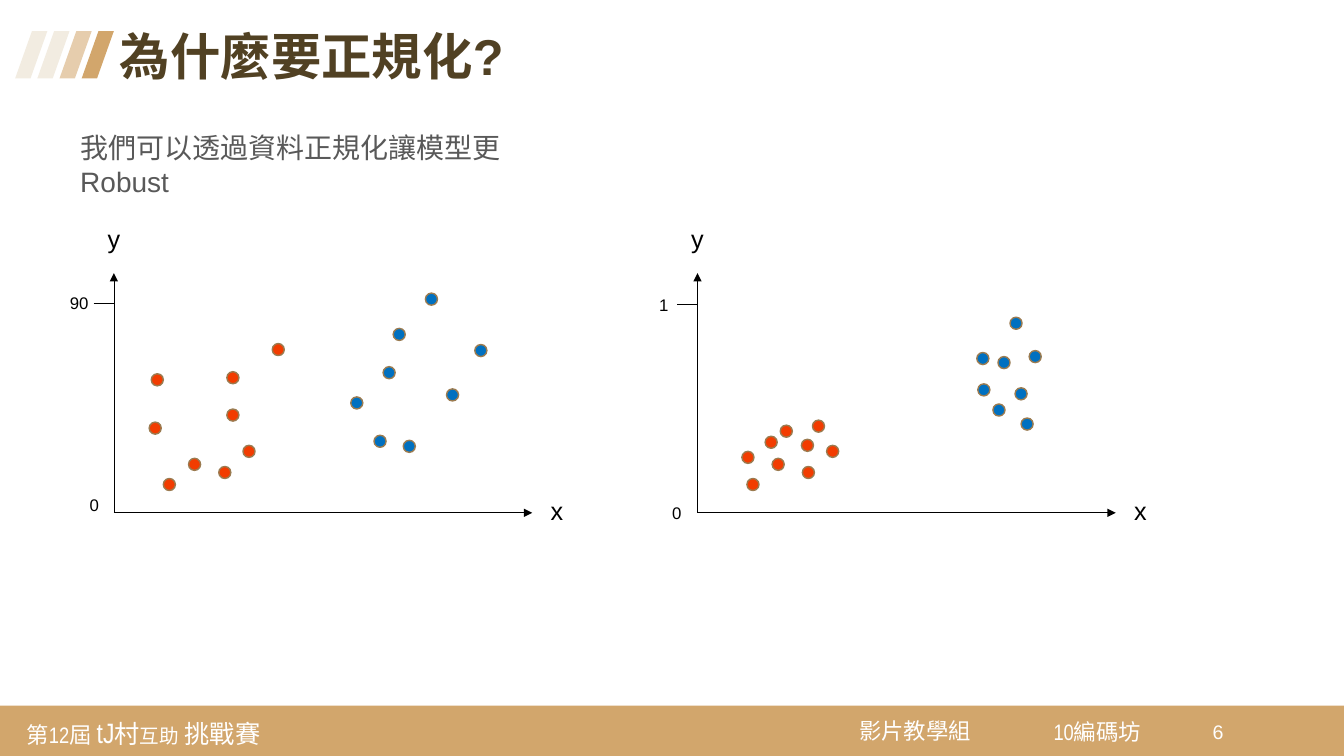
from dataclasses import dataclass

from lxml.etree import SubElement
from pptx import Presentation
from pptx.dml.color import RGBColor
from pptx.enum.shapes import MSO_CONNECTOR, MSO_SHAPE
from pptx.enum.text import MSO_ANCHOR, MSO_AUTO_SIZE, PP_ALIGN
from pptx.oxml.ns import qn
from pptx.util import Pt


@dataclass(frozen=True)
class Theme:
    gold: str = "D2A66C"
    light_gold: str = "E6CDAD"
    cream: str = "F2ECE1"
    brown: str = "514123"
    dot_edge: str = "9B7B50"
    grey: str = "595959"
    black: str = "000000"
    white: str = "FFFFFF"
    blue: str = "0070C0"
    red: str = "F23C00"
    font: str = "Arial"
    narrow_font: str = "Arial Narrow"
    title_size: int = 36
    body_size: int = 20
    axis_size: int = 18
    event_name_size: int = 20
    event_word_size: int = 18
    event_small_size: int = 14
    footer_size: int = 16
    page_size: int = 14
    tick_size: int = 12


THEME = Theme()
DOT_SIZE = 8.64

# Dots and tick labels are (right, up) distances in points from the origin.
RAW_PLOT = {
    "tick_height": 149.5,
    "tick_labels": [("90", -24.8, 150.2), ("0", -14, 5.4)],
    "blue": [(190.1, 51.1), (196.6, 100.1), (203.8, 127.4), (211, 47.5),
             (226.8, 152.6), (262.1, 115.9), (173.5, 78.5), (241.9, 84.2)],
    "red": [(29.5, 60.5), (31, 95), (39.6, 20.2), (85, 69.8), (96.5, 43.9),
            (117.4, 116.6), (79.2, 28.8), (57.6, 34.6), (85, 96.5)],
}
NORMALIZED_PLOT = {
    "tick_height": 148.8,
    "tick_labels": [("1", -24.1, 148.8), ("0", -14.8, 0)],
    "blue": [(231.1, 85), (215.3, 73.4), (203.8, 110.2), (204.5, 87.8),
             (227.5, 135.4), (241.2, 111.6), (218.9, 107.3), (235.4, 63.4)],
    "red": [(36, 39.6), (52.6, 50.4), (39.6, 20.2), (78.5, 48.2), (96.5, 43.9),
            (63.4, 58.3), (79.2, 28.8), (57.6, 34.6), (86.4, 61.9)],
}


def add_run(paragraph, text, size, color, font=THEME.font, bold=False):
    run = paragraph.add_run()
    run.text = text
    run.font.name = font
    run.font.size = Pt(size)
    run.font.bold = bold
    run.font.color.rgb = RGBColor.from_string(color)


def add_text(slide, box, runs, color, font=THEME.font, inset=None, wrap=True,
             anchor=MSO_ANCHOR.TOP, align=PP_ALIGN.LEFT):
    """Add a one-paragraph text box; runs are (text, size) pairs."""
    frame = slide.shapes.add_textbox(*map(Pt, box)).text_frame
    frame.word_wrap = wrap
    frame.vertical_anchor = anchor
    if inset is not None:
        frame.margin_left = frame.margin_right = Pt(inset)
        frame.margin_top = frame.margin_bottom = Pt(inset)
    paragraph = frame.paragraphs[0]
    paragraph.alignment = align
    for text, size in runs:
        add_run(paragraph, text, size, color, font)


def add_label(slide, center_x, center_y, text, size):
    width, height = 15 + 0.6 * size * len(text), size * 1.6
    box = (center_x - width / 2, center_y - height / 2, width, height)
    add_text(slide, box, [(text, size)], THEME.black, wrap=False,
             anchor=MSO_ANCHOR.MIDDLE, align=PP_ALIGN.CENTER)


def add_filled_shape(slide, kind, box, fill, edge=None):
    shape = slide.shapes.add_shape(kind, *map(Pt, box))
    shape.shadow.inherit = False
    shape.fill.solid()
    shape.fill.fore_color.rgb = RGBColor.from_string(fill)
    if edge:
        shape.line.color.rgb = RGBColor.from_string(edge)
        shape.line.width = Pt(1)
    else:
        shape.line.fill.background()
    return shape


def add_line(slide, start, end, width, arrow=False):
    line = slide.shapes.add_connector(
        MSO_CONNECTOR.STRAIGHT, *map(Pt, (*start, *end)))
    line.line.color.rgb = RGBColor.from_string(THEME.black)
    line.line.width = Pt(width)
    properties = line._element.spPr
    if arrow:
        SubElement(properties.find(qn("a:ln")), qn("a:tailEnd"), type="triangle")
    SubElement(properties, qn("a:effectLst"))


def add_header(slide, box, title):
    """Place the slanted stripes and the title in the given box."""
    left, top, width, height = box
    stripes = (THEME.cream, THEME.cream, THEME.light_gold, THEME.gold)
    for index, color in enumerate(stripes):
        stripe_box = (left + 15.84 * index, top + 2.9, 23, 33.8)
        stripe = add_filled_shape(slide, MSO_SHAPE.PARALLELOGRAM, stripe_box, color)
        stripe.adjustments[0] = 0.522

    shape = slide.shapes.title
    shape.left, shape.top = Pt(left + 67.7), Pt(top)
    shape.width, shape.height = Pt(width - 67.7), Pt(height)
    frame = shape.text_frame
    frame.auto_size = MSO_AUTO_SIZE.NONE
    frame.word_wrap = True
    frame.vertical_anchor = MSO_ANCHOR.TOP
    paragraph = frame.paragraphs[0]
    paragraph.alignment = PP_ALIGN.LEFT
    paragraph.line_spacing = 0.9
    add_run(paragraph, title, THEME.title_size, THEME.brown, bold=True)


def add_footer(slide, box, page):
    left, top, width, height = box
    add_filled_shape(slide, MSO_SHAPE.RECTANGLE, box, THEME.gold)
    event = [("第12屆 ", THEME.footer_size), ("tJ", THEME.event_name_size),
             ("村", THEME.event_word_size), ("互助", THEME.event_small_size),
             (" 挑戰賽", THEME.event_word_size)]
    entries = [
        (13, 1.4, 204, 35.3, event),
        (607.7, 2.2, 95.8, 31, [("影片教學組", THEME.footer_size)]),
        (746.6, 2.9, 95.8, 31, [("10編碼坊", THEME.footer_size)]),
    ]
    for x, y, entry_width, entry_height, runs in entries:
        add_text(slide, (left + x, top + y, entry_width, entry_height), runs,
                 THEME.white, THEME.narrow_font, inset=6, anchor=MSO_ANCHOR.MIDDLE)
    add_text(slide, (left + 859, top + 6.5, 30.2, 29.5),
             [(page, THEME.page_size)], THEME.white)


def add_scatter_plot(slide, box, plot):
    """Draw axes along the left and bottom of the box, then labels and dots."""
    left, top, width, height = box
    origin_y = top + height
    tick_y = origin_y - plot["tick_height"]
    add_line(slide, (left, origin_y), (left, top), 0.5, arrow=True)
    add_line(slide, (left, origin_y), (left + width, origin_y), 0.5, arrow=True)
    add_line(slide, (left - 14.4, tick_y), (left, tick_y), 1)
    add_label(slide, left + width + 17.6, origin_y - 1.8, "x", THEME.axis_size)
    add_label(slide, left, top - 25, "y", THEME.axis_size)
    for text, x, up in plot["tick_labels"]:
        add_label(slide, left + x, origin_y - up, text, THEME.tick_size)

    for group, color in (("blue", THEME.blue), ("red", THEME.red)):
        for x, up in plot[group]:
            dot_box = (left + x - DOT_SIZE / 2, origin_y - up - DOT_SIZE / 2,
                       DOT_SIZE, DOT_SIZE)
            add_filled_shape(slide, MSO_SHAPE.OVAL, dot_box, color, THEME.dot_edge)


def build_normalization_slide(presentation):
    slide = presentation.slides.add_slide(presentation.slide_layouts[5])
    add_footer(slide, (0, 504, 960, 36), "6")
    add_header(slide, (10.8, 19.4, 801.4, 46.8), "為什麼要正規化?")
    add_text(slide, (50.2, 90, 367, 31.7),
             [("我們可以透過資料正規化讓模型更 Robust", THEME.body_size)], THEME.grey)
    for left, plot in ((81.36, RAW_PLOT), (498.24, NORMALIZED_PLOT)):
        add_scatter_plot(slide, (left, 195.1, 298.8, 171.2), plot)


def main():
    presentation = Presentation()
    presentation.slide_width, presentation.slide_height = Pt(960), Pt(540)
    build_normalization_slide(presentation)
    presentation.save("out.pptx")


if __name__ == "__main__":
    main()
